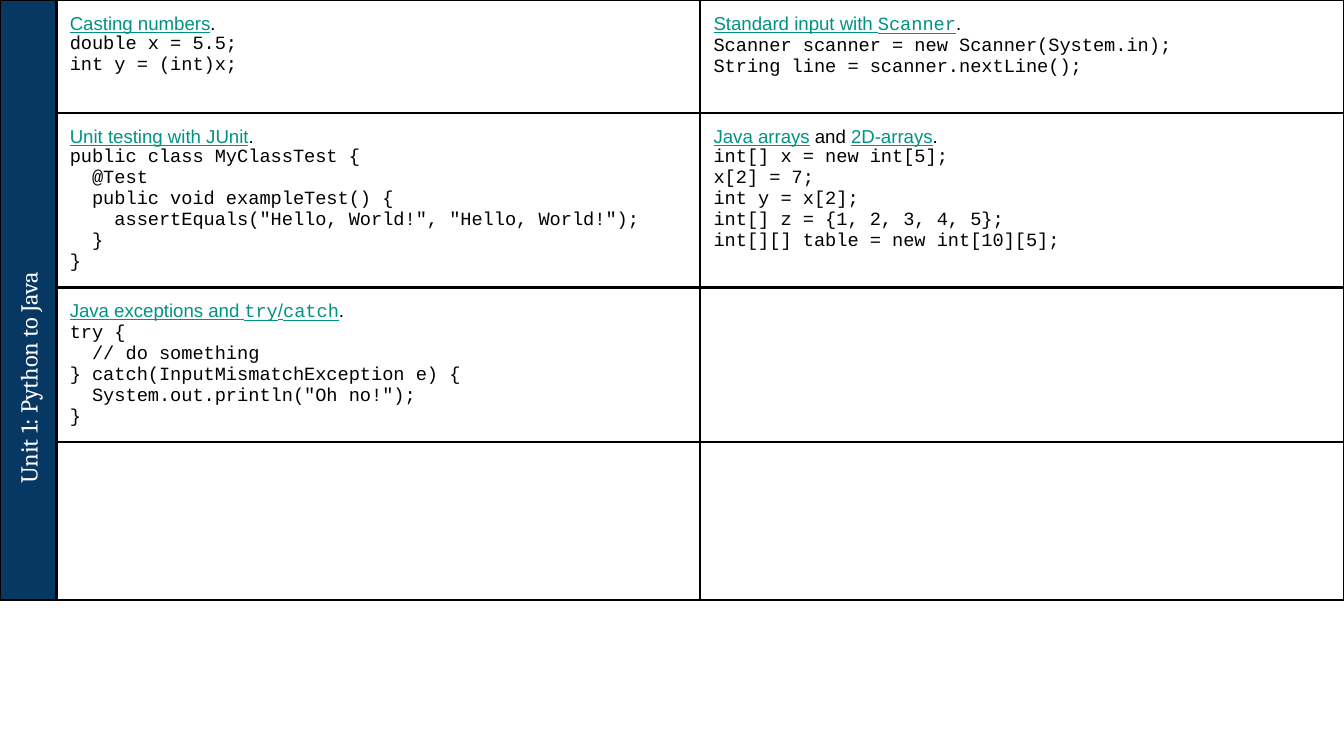
"""Build the Java reference table slide for Unit 1."""
from dataclasses import dataclass

from lxml import etree
from pptx import Presentation
from pptx.dml.color import RGBColor
from pptx.enum.text import PP_ALIGN
from pptx.oxml.ns import qn
from pptx.util import Pt

CENTER = PP_ALIGN.CENTER


@dataclass(frozen=True)
class Theme:
    navy: str = "073763"
    link: str = "009384"
    black: str = "000000"
    white: str = "FFFFFF"
    body: str = "Arial"
    code: str = "Courier New"
    title: str = "Cambria"
    body_size: float = 10
    title_size: float = 13
    border: float = 1.5


T = Theme()


def style(font, name, size, color):
    font.name = name
    font.size = Pt(size)
    font.color.rgb = RGBColor.from_string(color)


def add_borders(cell):
    tc_pr = cell._tc.get_or_add_tcPr()
    for side in ("lnL", "lnR", "lnT", "lnB"):
        ln = etree.SubElement(tc_pr, qn(f"a:{side}"), w=str(Pt(T.border)))
        fill = etree.SubElement(ln, qn("a:solidFill"))
        etree.SubElement(fill, qn("a:srgbClr"), val=T.black)


PLAIN = (T.body, T.black, False)
LINK = (T.body, T.link, True)
CODE_LINK = (T.code, T.link, True)

topics = {
    (0, 1): ([("Casting numbers", LINK), (".", PLAIN)], """\
double x = 5.5;
int y = (int)x;"""),
    (0, 2): ([("Standard input with ", LINK), ("Scanner", CODE_LINK), (".", PLAIN)], """\
Scanner scanner = new Scanner(System.in);
String line = scanner.nextLine();"""),
    (1, 1): ([("Unit testing with JUnit", LINK), (".", PLAIN)], """\
public class MyClassTest {
  @Test
  public void exampleTest() {
    assertEquals("Hello, World!", "Hello, World!");
  }
}"""),
    (1, 2): ([("Java arrays", LINK), (" and ", PLAIN), ("2D-arrays", LINK), (".", PLAIN)], """\
int[] x = new int[5];
x[2] = 7;
int y = x[2];
int[] z = {1, 2, 3, 4, 5};
int[][] table = new int[10][5];"""),
    (2, 1): ([("Java exceptions and ", LINK), ("try", CODE_LINK), ("/", LINK),
              ("catch", CODE_LINK), (".", PLAIN)], """\
try {
  // do something
} catch(InputMismatchException e) {
  System.out.println("Oh no!");
}"""),
}

prs = Presentation()
prs.slide_width, prs.slide_height = Pt(720), Pt(405)
s = prs.slides.add_slide(prs.slide_layouts[6])

col_widths = [30.2, 344.9, 344.9]
row_heights = [60.5, 93.5, 82.5, 84.5]
table = s.shapes.add_table(len(row_heights), len(col_widths), Pt(0), Pt(0),
                           Pt(sum(col_widths)), Pt(sum(row_heights))).table
table.first_row = False
table.horz_banding = False
for column, width in zip(table.columns, col_widths):
    column.width = Pt(width)
for row, height in zip(table.rows, row_heights):
    row.height = Pt(height)

for cell in table.iter_cells():
    add_borders(cell)
    cell.fill.background()
    cell.margin_left = cell.margin_right = Pt(7.2)
    cell.margin_top = cell.margin_bottom = Pt(7.2)

unit_cell = table.cell(0, 0)
unit_cell.merge(table.cell(len(row_heights) - 1, 0))
unit_cell.fill.solid()
unit_cell.fill.fore_color.rgb = RGBColor.from_string(T.navy)

for (row, col), (heading, code) in topics.items():
    tf = table.cell(row, col).text_frame
    p = tf.paragraphs[0]
    for text, (name, color, underline) in heading:
        r = p.add_run()
        r.text = text
        style(r.font, name, T.body_size, color)
        r.font.underline = underline
    for line in code.splitlines():
        p = tf.add_paragraph()
        p.text = line
        style(p.font, T.code, T.body_size, T.black)

length, thickness = 405, 30.2
sp = s.shapes.add_textbox(Pt((thickness - length) / 2), Pt((length - thickness) / 2),
                          Pt(length), Pt(thickness))
sp.rotation = 270
tf = sp.text_frame
tf.word_wrap = True
tf.margin_left = tf.margin_right = tf.margin_top = tf.margin_bottom = Pt(7.2)
p = tf.paragraphs[0]
p.text = "Unit 1: Python to Java"
p.alignment = CENTER
style(p.font, T.title, T.title_size, T.white)

prs.save("out.pptx")
